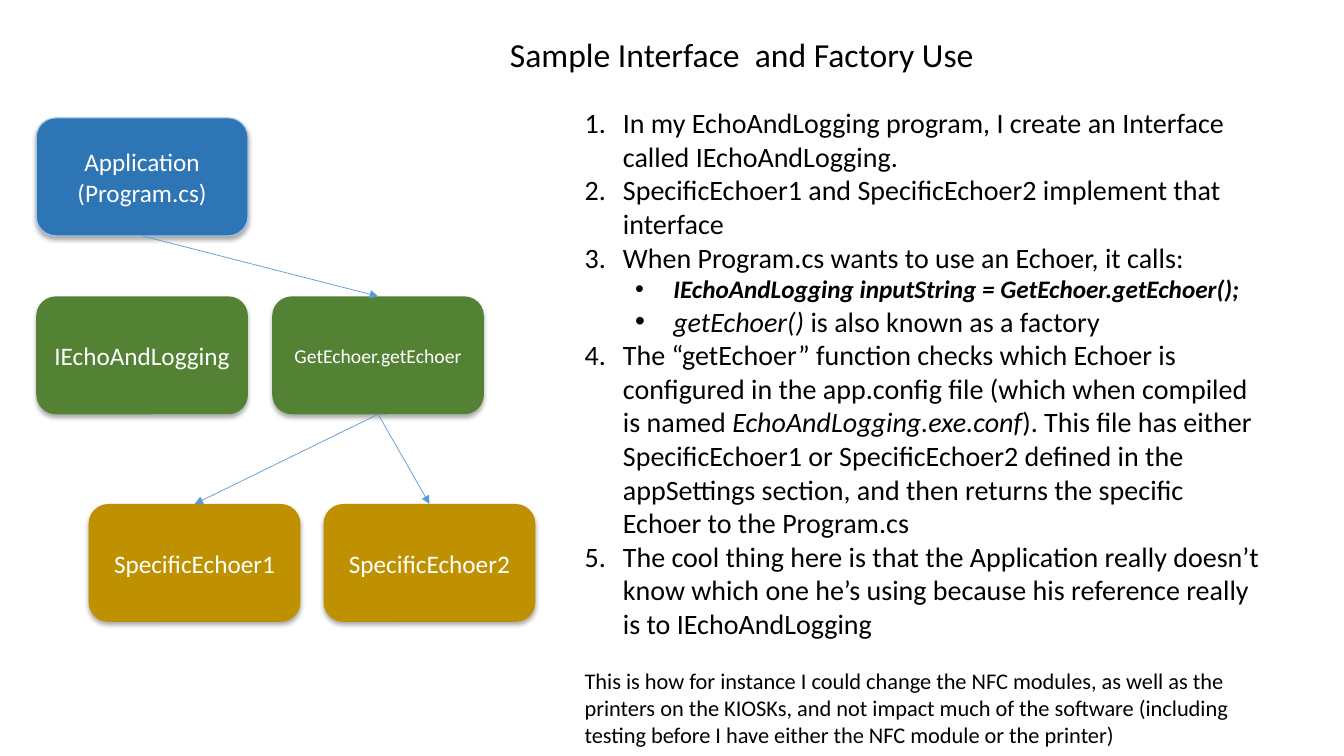
import pptx
import pptx.dml.color
import pptx.enum.shapes
import pptx.enum.text
import pptx.oxml
import pptx.oxml.ns
import pptx.util
from lxml import etree

Inches = pptx.util.Inches
Pt = pptx.util.Pt
qn = pptx.oxml.ns.qn

COLOURS = {
    "text": "000000",
    "label": "FFFFFF",
    "application": "2E75B6",
    "application_edge": "9DC3E6",
    "interface": "548235",
    "echoer": "BF9000",
    "arrow": "5B9BD5",
    "shadow": "000000",
}
FONT = "Calibri"
BOX_WIDTH, BOX_HEIGHT = 2.1, 1.17

BOXES = {
    "application": (0.36, 1.17, ["Application", "(Program.cs)"], "application", 18),
    "interface": (0.36, 2.94, ["IEchoAndLogging"], "interface", 18),
    "factory": (2.7, 2.94, ["GetEchoer.getEchoer"], "interface", 14),
    "echoer1": (0.88, 5, ["SpecificEchoer1"], "echoer", 18),
    "echoer2": (3.21, 5, ["SpecificEchoer2"], "echoer", 18),
}
CALLS = [("application", "factory"), ("factory", "echoer1"), ("factory", "echoer2")]

ITALIC = {"italic": True}
STEPS = [
    ("number", [("In my EchoAndLogging program, I create an Interface called IEchoAndLogging.", {})]),
    ("number", [("SpecificEchoer1 and SpecificEchoer2 implement that interface", {})]),
    ("number", [("When Program.cs wants to use an Echoer, it calls:", {})]),
    ("bullet", [("IEchoAndLogging inputString = GetEchoer.getEchoer();",
                 {"size": Pt(18), "bold": True, "italic": True})]),
    ("bullet", [("getEchoer() ", ITALIC), ("is also known as a factory", {})]),
    ("number", [
        ("The “getEchoer” function checks which Echoer is configured in the app.config file "
         "(which when compiled is named ", {}),
        ("EchoAndLogging.exe.conf", ITALIC),
        ("). This file has either SpecificEchoer1 or SpecificEchoer2 defined in the appSettings "
         "section, and then returns the specific Echoer to the Program.cs", {}),
    ]),
    ("number", [("The cool thing here is that the Application really doesn’t know which one he’s "
                 "using because his reference really is to IEchoAndLogging", {})]),
    ("plain", [("This is how for instance I could change the NFC modules, as well as the printers "
                "on the KIOSKs, and not impact much of the software (including testing before I "
                "have either the NFC module or the printer)", {"size": Pt(16)})]),
]


def colour(name):
    return pptx.dml.color.RGBColor.from_string(COLOURS[name])


def add_child(parent, tag, **attributes):
    return etree.SubElement(parent, qn(tag), attributes)


def add_span(para, text, ink, **formats):
    span = para.add_run()
    span.text = text
    span.font.color.rgb = colour(ink)
    for key, value in {"name": FONT, **formats}.items():
        setattr(span.font, key, value)


def add_text_box(page, left, top, width, height, wrap):
    box = page.shapes.add_textbox(Inches(left), Inches(top), Inches(width), Inches(height))
    box.text_frame.word_wrap = wrap
    box.text_frame.auto_size = pptx.enum.text.MSO_AUTO_SIZE.SHAPE_TO_FIT_TEXT
    return box.text_frame


def add_paragraphs(frame, count):
    return [frame.paragraphs[0]] + [frame.add_paragraph() for _ in range(count - 1)]


def set_list_marker(para, kind):
    indent = {"number": 0.38, "bullet": 0.88}[kind]
    properties = para._p.get_or_add_pPr()
    properties.set("marL", str(Inches(indent)))
    properties.set("indent", str(-Inches(0.38)))
    if kind == "number":
        add_child(properties, "a:buFont", typeface="+mj-lt")
        add_child(properties, "a:buAutoNum", type="arabicPeriod")
    else:
        para.level = 1
        add_child(properties, "a:buFont", typeface="Arial")
        add_child(properties, "a:buChar", char="•")


def add_steps(page):
    frame = add_text_box(page, 5.7, 1, 6.96, 6.53, True)
    for para, (kind, spans) in zip(add_paragraphs(frame, len(STEPS)), STEPS):
        if kind == "plain":
            para.space_before = Pt(19.5)
        else:
            set_list_marker(para, kind)
        for text, formats in spans:
            add_span(para, text, "text", **{"size": Pt(20), **formats})


def add_shadow(box):
    box.shadow.inherit = False
    effects = box._element.spPr.find(qn("a:effectLst"))
    shadow = add_child(effects, "a:outerShdw", blurRad=str(Pt(3.5)), dist=str(Pt(2.2)),
                       dir="5400000", algn="ctr", rotWithShape="0")
    tint = add_child(shadow, "a:srgbClr", val=COLOURS["shadow"])
    add_child(tint, "a:alpha", val="32000")


def add_box(page, left, top, lines, fill, size):
    box = page.shapes.add_shape(pptx.enum.shapes.MSO_SHAPE.ROUNDED_RECTANGLE, Inches(left),
                                Inches(top), Inches(BOX_WIDTH), Inches(BOX_HEIGHT))
    box.fill.solid()
    box.fill.fore_color.rgb = colour(fill)
    if fill == "application":
        box.line.color.rgb = colour("application_edge")
        box.line.width = Pt(0.75)
    else:
        box.line.fill.background()
    add_shadow(box)
    frame = box.text_frame
    frame.word_wrap = True
    frame.vertical_anchor = pptx.enum.text.MSO_ANCHOR.MIDDLE
    for para, text in zip(add_paragraphs(frame, len(lines)), lines):
        para.alignment = pptx.enum.text.PP_ALIGN.CENTER
        add_span(para, text, "label", size=Pt(size))
    return box


def add_arrow(page, caller, target):
    arrow = page.shapes.add_connector(pptx.enum.shapes.MSO_CONNECTOR.STRAIGHT, 0, 0, 0, 0)
    arrow.begin_connect(caller, 2)
    arrow.end_connect(target, 0)
    arrow.line.color.rgb = colour("arrow")
    arrow.line.width = Pt(0.5)
    add_child(arrow.line._get_or_add_ln(), "a:tailEnd", type="triangle")
    add_child(arrow._element.spPr, "a:effectLst")


def main():
    deck = pptx.Presentation()
    deck.slide_width, deck.slide_height = Inches(13.33), Inches(7.5)
    page = deck.slides.add_slide(deck.slide_layouts[6])
    title = add_text_box(page, 4.96, 0.29, 4.84, 0.5, False)
    add_span(title.paragraphs[0], "Sample Interface  and Factory Use", "text", size=Pt(24))
    boxes = {name: add_box(page, *details) for name, details in BOXES.items()}
    for caller, target in CALLS:
        add_arrow(page, boxes[caller], boxes[target])
    add_steps(page)
    deck.save("out.pptx")


main()
